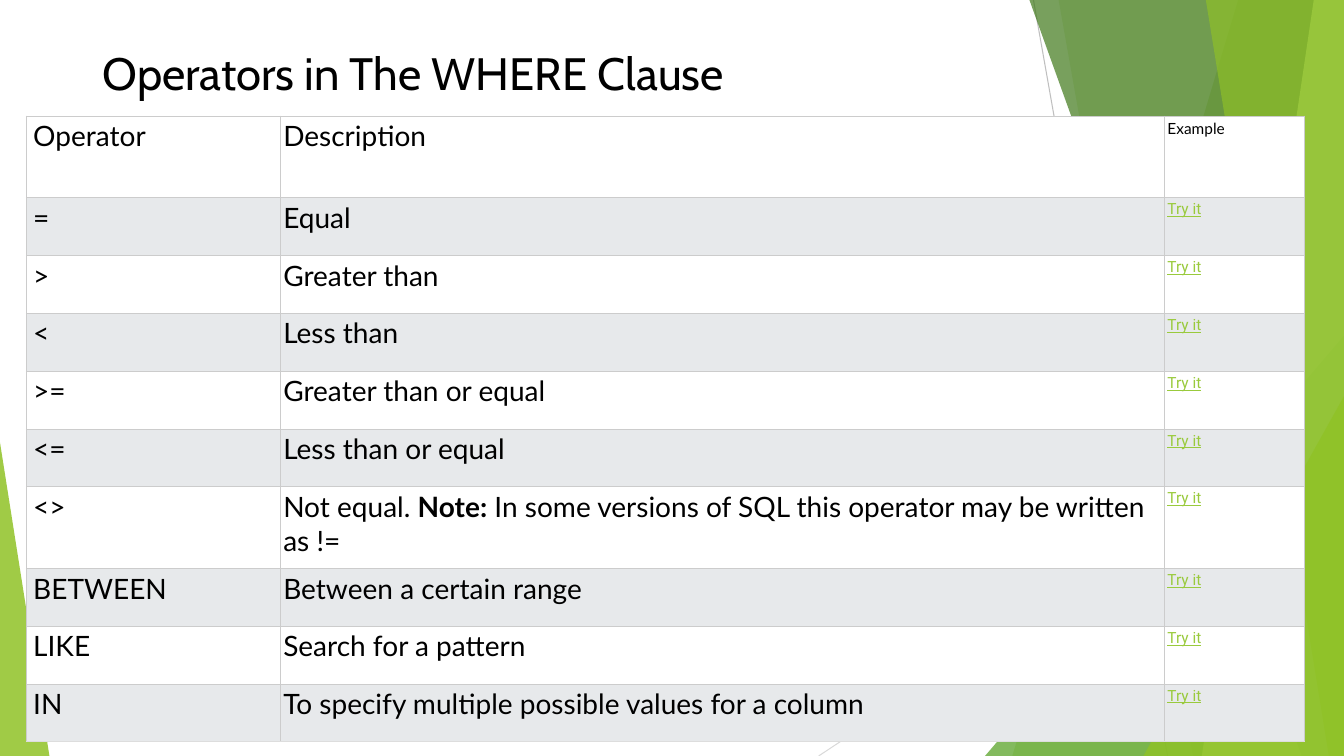
"""Build a slide with a table of the operators allowed in a WHERE clause."""
from lxml.etree import SubElement
from pptx import Presentation
from pptx.dml.color import RGBColor
from pptx.enum.shapes import MSO_CONNECTOR, MSO_SHAPE
from pptx.enum.text import MSO_ANCHOR
from pptx.oxml.ns import qn
from pptx.util import Inches, Pt

COLORS = {
    "text": "000000", "link": "99CA3C", "plain": "FFFFFF", "band": "E7E9EB",
    "border": "CCCCCC", "last border": "DDDDDD", "ray": "BFBFBF", "pale ray": "D9D9D9",
    "lime": "90C226", "green": "54A021", "forest": "3F7819", "light": "C0E474",
}
W, H = 13.33, 7.5


def color(name):
    return RGBColor.from_string(COLORS[name])


def style(font, name, size, tone):
    font.name, font.size = name, Pt(size)
    font.color.rgb = color(tone)


deck = Presentation()
deck.slide_width, deck.slide_height = Inches(W), Inches(H)
slide = deck.slides.add_slide(deck.slide_layouts[6])
shapes = slide.shapes

for x1, y1, x2, y2, tone in [(10.25, 0, 11.58, H, "ray"), (W, 4.03, 8.12, H, "pale ray")]:
    ray = shapes.add_connector(
        MSO_CONNECTOR.STRAIGHT, Inches(x1), Inches(y1), Inches(x2), Inches(y2))
    ray.line.width = Pt(0.75)
    ray.line.color.rgb = color(tone)
    SubElement(ray._element.spPr, qn("a:effectLst"))

# veil: top and bottom x of the slanted edge; wedge: left, top, width, apex share
facets = [
    ("veil", (12.28, 10.04), "lime", 30),
    ("veil", (10.5, 11.83), "lime", 20),
    ("wedge", (9.77, 3.33, W - 9.77, 1), "green", 72),
    ("veil", (10.21, 12.91), "forest", 70),
    ("veil", (13.03, 11.92), "light", 70),
    ("veil", (11.96, 13.18), "lime", 65),
    ("wedge", (11.34, 3.93, W - 11.34, 1), "lime", 80),
    ("wedge", (0, 4.39, 0.49, 0), "lime", 85),
]
for kind, place, tone, opacity in facets:
    if kind == "veil":
        top_x, bottom_x = place
        outline = shapes.build_freeform(Inches(top_x), 0)
        outline.add_line_segments(
            [(Inches(x), Inches(y)) for x, y in [(W, 0), (W, H), (bottom_x, H)]], close=True)
        facet = outline.convert_to_shape()
    else:
        left, top, width, apex = place
        facet = shapes.add_shape(
            MSO_SHAPE.ISOSCELES_TRIANGLE,
            Inches(left), Inches(top), Inches(width), Inches(H - top))
        facet.adjustments[0] = apex
    facet.shadow.inherit = False
    facet.line.fill.background()
    facet.fill.solid()
    facet.fill.fore_color.rgb = color(tone)
    tint = facet._element.spPr.find(qn("a:solidFill"))[0]
    SubElement(tint, qn("a:alpha"), val=str(opacity * 1000))

title = shapes.add_textbox(Inches(0.92), Inches(0.4), Inches(11.5), Inches(1.19)).text_frame
title.word_wrap = True
title.vertical_anchor = MSO_ANCHOR.TOP
title.text = "Operators in The WHERE Clause"
style(title.paragraphs[0].font, "Cabin", 32.4, "text")

operators = [
    ("=", ["Equal"]),
    (">", ["Greater than"]),
    ("<", ["Less than"]),
    (">=", ["Greater than or equal"]),
    ("<=", ["Less than or equal"]),
    ("<>", ["Not equal. ", "Note:",
            " In some versions of SQL this operator may be written as !="]),
    ("BETWEEN", ["Between a certain range"]),
    ("LIKE", ["Search for a pattern"]),
    ("IN", ["To specify multiple possible values for a column"]),
]
rows = [(["Operator"], ["Description"], ["Example"])]
rows += [([operator], description, ["Try it"]) for operator, description in operators]
column_widths = [2.52, 8.77, 1.39]
table_height, tall, tall_rows = 6.21, 0.81, (0, 6)
short = (table_height - tall * len(tall_rows)) / (len(rows) - len(tall_rows))

table = shapes.add_table(
    len(rows), len(column_widths), Inches(0.26), Inches(1.15),
    Inches(sum(column_widths)), Inches(table_height)).table
table.first_row = table.horz_banding = False
for column, width in zip(table.columns, column_widths):
    column.width = Inches(width)

for r, row in enumerate(rows):
    table.rows[r].height = Inches(tall if r in tall_rows else short)
    for c, pieces in enumerate(row):
        cell = table.cell(r, c)
        cell.margin_left = Inches(0.07 if c == 0 else 0.03)
        cell.margin_right = cell.margin_top = cell.margin_bottom = Inches(0.03)
        for side in ("lnL", "lnR", "lnT", "lnB"):
            last = side == "lnB" and r == len(rows) - 1
            edge = SubElement(cell._tc.get_or_add_tcPr(), qn(f"a:{side}"), w=str(Pt(0.5)))
            edge_fill = SubElement(edge, qn("a:solidFill"))
            SubElement(edge_fill, qn("a:srgbClr"), val=COLORS["last border" if last else "border"])
        cell.fill.solid()
        cell.fill.fore_color.rgb = color("band" if r % 2 else "plain")

        paragraph = cell.text_frame.paragraphs[0]
        for piece in pieces:
            run = paragraph.add_run()
            run.text = piece
            if piece == "Note:":
                run.font.bold = True
        if c == 2 and r > 0:
            style(paragraph.font, "Roboto", 11, "link")
            paragraph.font.underline = True
        else:
            style(paragraph.font, "Lato", 11 if c == 2 else 20, "text")

deck.save("out.pptx")
